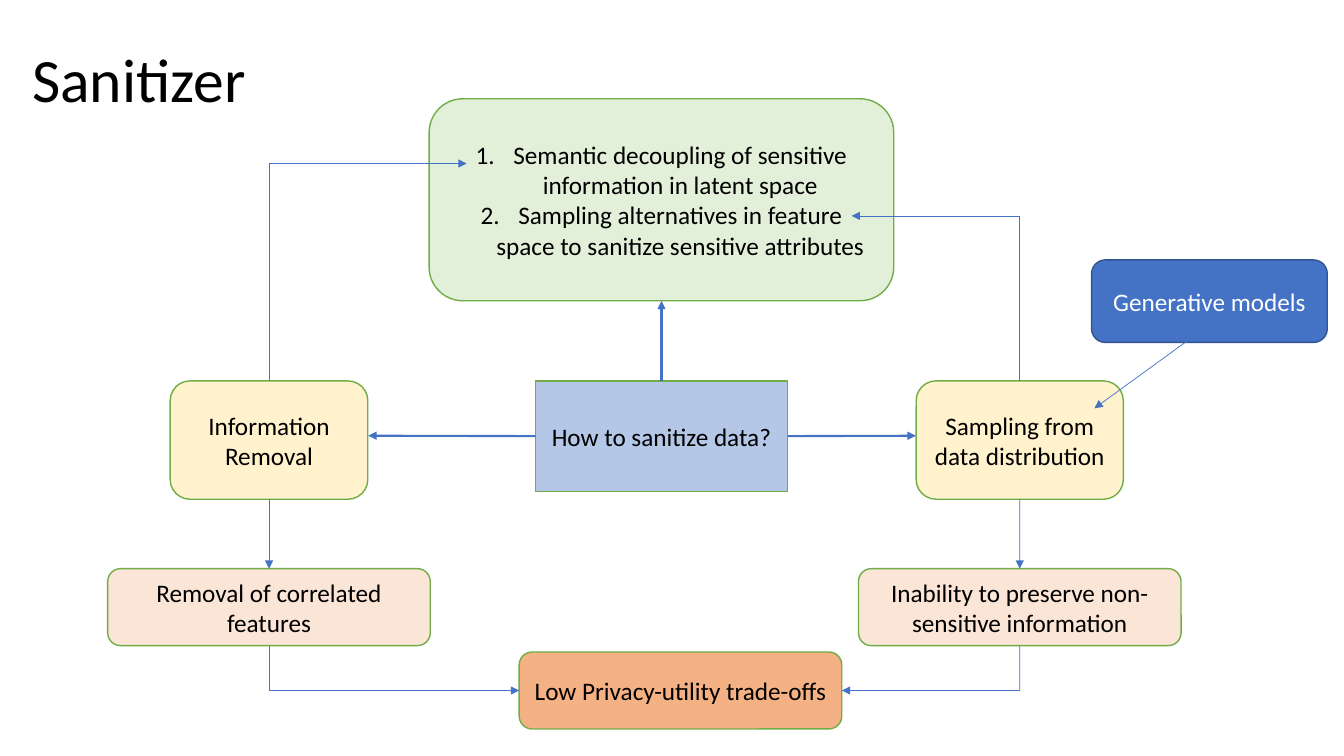
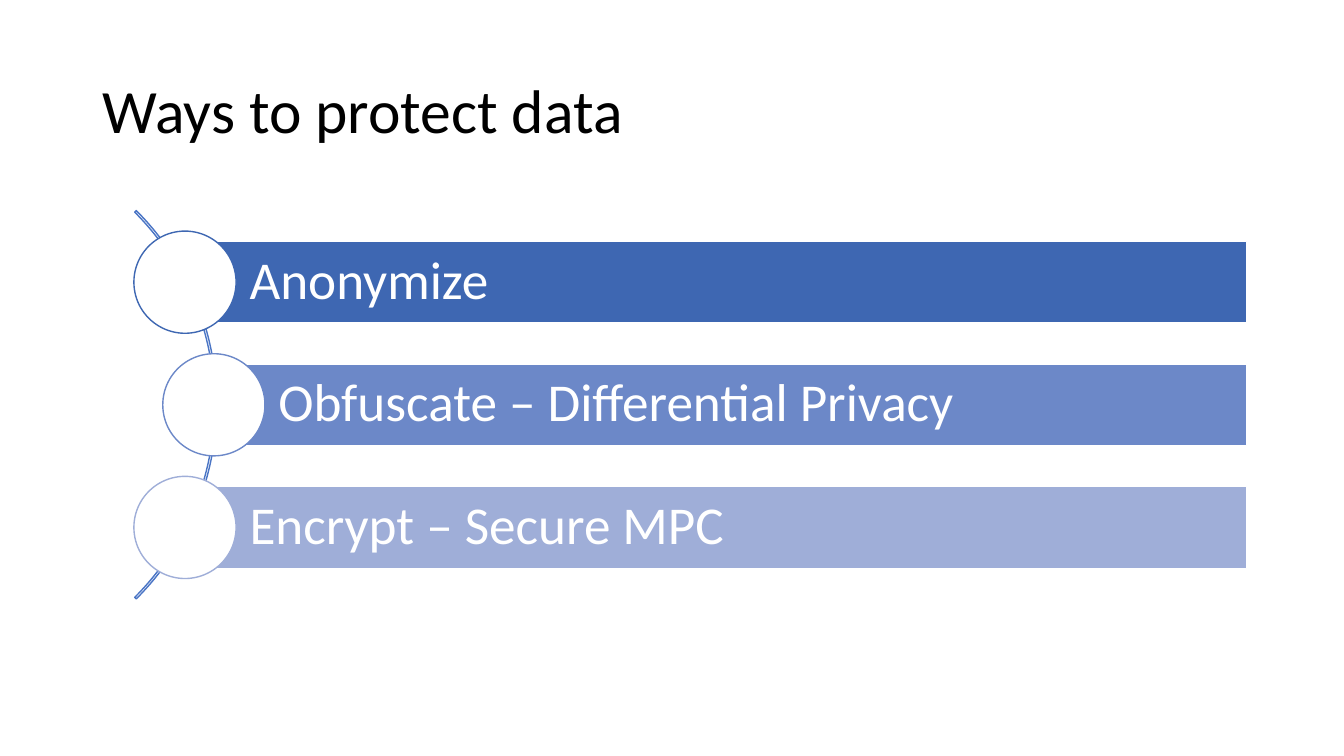
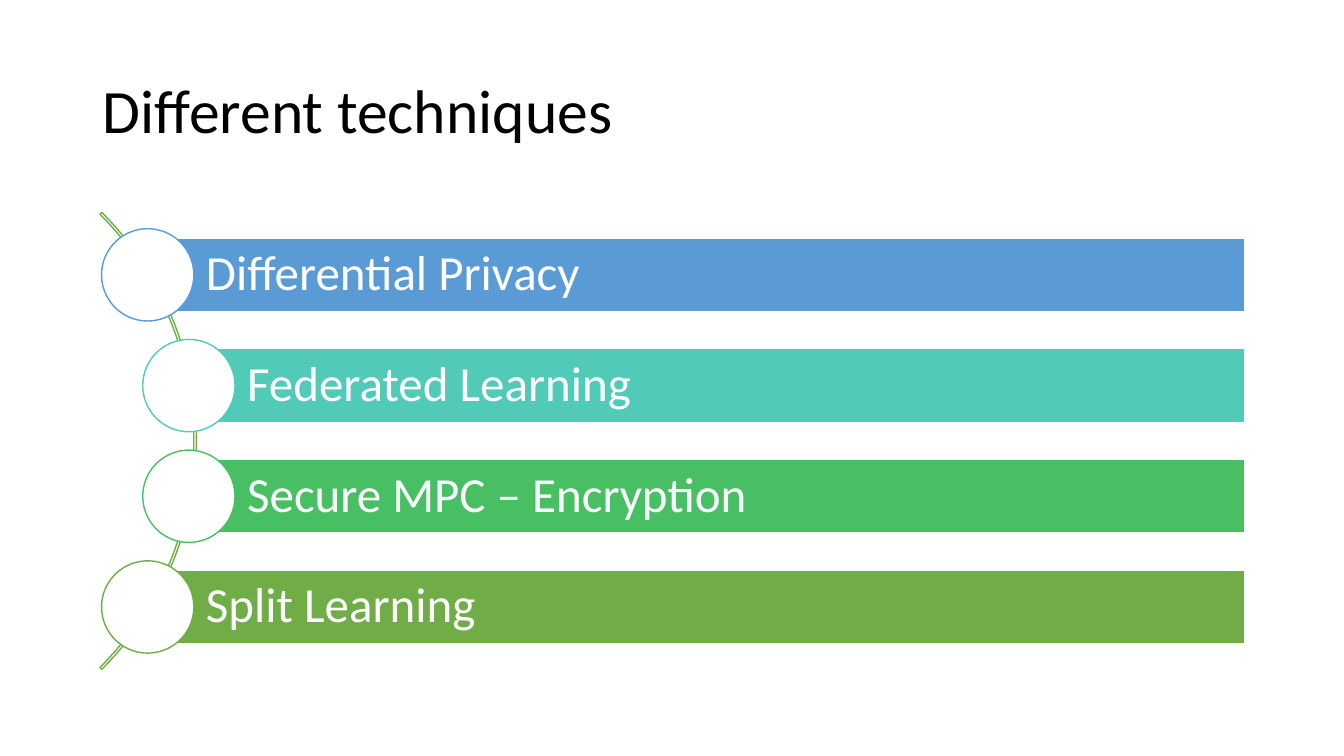
"""Build three slides on sanitizing and protecting data."""
from dataclasses import dataclass
from math import sqrt

from lxml import etree
from pptx import Presentation
from pptx.dml.color import RGBColor
from pptx.enum.shapes import MSO_CONNECTOR, MSO_SHAPE
from pptx.enum.text import MSO_ANCHOR, PP_ALIGN
from pptx.oxml.ns import qn
from pptx.util import Cm, Pt

RECTANGLE = MSO_SHAPE.RECTANGLE
ROUNDED = MSO_SHAPE.ROUNDED_RECTANGLE
OVAL = MSO_SHAPE.OVAL
BLOCK_ARC = MSO_SHAPE.BLOCK_ARC
STRAIGHT = MSO_CONNECTOR.STRAIGHT
MIDDLE = MSO_ANCHOR.MIDDLE
LEFT, CENTER = PP_ALIGN.LEFT, PP_ALIGN.CENTER
TOP_SIDE, LEFT_SIDE, BOTTOM_SIDE, RIGHT_SIDE = range(4)


@dataclass(frozen=True)
class Theme:
    """Colours, font and type sizes shared by the slides."""
    font: str = "Calibri"
    title_size: int = 44
    box_size: int = 18
    black: str = "000000"
    white: str = "FFFFFF"
    blue: str = "4472C4"
    dark_blue: str = "325491"
    pale_blue: str = "B4C7E7"
    green: str = "70AD47"
    pale_green: str = "E2F0D9"
    cream: str = "FFF2CC"
    peach: str = "FBE5D6"
    orange: str = "F4B183"
    outline: float = 1
    thick: float = 1.5
    thin: float = 0.5


THEME = Theme()

LEFT_AXIS, MIDDLE_AXIS, RIGHT_AXIS = 6.78, 16.67, 25.7
QUESTION_Y, TRADE_OFF_Y = 10.98, 17.4
REMOVAL_Y, SAMPLING_Y = 4.12, 5.44

FLOW_BOXES = {
    "question": dict(center=MIDDLE_AXIS, top=9.6, width=6.36, height=2.78,
                     fill=THEME.pale_blue, kind=RECTANGLE,
                     lines=["How to sanitize data?"]),
    "sampling": dict(center=RIGHT_AXIS, top=9.6, width=5.22, height=2.98,
                     fill=THEME.cream, lines=["Sampling from data distribution"]),
    "removal": dict(center=LEFT_AXIS, top=9.6, width=4.98, height=2.98,
                    fill=THEME.cream, lines=["Information", "Removal"]),
    "trade-offs": dict(center=17.15, top=16.43, width=8.13, height=1.94,
                       fill=THEME.orange, lines=["Low Privacy-utility trade-offs"]),
    "inability": dict(center=RIGHT_AXIS, top=14.33, width=8.13, height=1.94,
                      fill=THEME.peach,
                      lines=["Inability to preserve non-sensitive information"]),
    "correlated": dict(center=LEFT_AXIS, top=14.33, width=8.13, height=1.94,
                       fill=THEME.peach, lines=["Removal of correlated features"]),
    "approaches": dict(center=MIDDLE_AXIS, top=2.49, width=11.71, height=5.09,
                       fill=THEME.pale_green, numbered=True,
                       lines=["Semantic decoupling of sensitive information in latent space",
                              "Sampling alternatives in feature space to sanitize "
                              "sensitive attributes"]),
    "generative": dict(center=30.48, top=6.55, width=5.94, height=2.08,
                       fill=THEME.blue, outline=THEME.dark_blue, color=THEME.white,
                       lines=["Generative models"]),
}

FLOW_ROUTES = [
    (THEME.thick, [("question", RIGHT_SIDE), (23.08, QUESTION_Y)]),
    (THEME.thick, [("question", LEFT_SIDE), (9.28, QUESTION_Y)]),
    (THEME.thick, [("question", TOP_SIDE), ("approaches", BOTTOM_SIDE)]),
    (THEME.thin, [("removal", BOTTOM_SIDE), ("correlated", TOP_SIDE)]),
    (THEME.thin, [("sampling", BOTTOM_SIDE), ("inability", TOP_SIDE)]),
    (THEME.thin, [("correlated", BOTTOM_SIDE), (LEFT_AXIS, TRADE_OFF_Y),
                  ("trade-offs", LEFT_SIDE)]),
    (THEME.thin, [("inability", BOTTOM_SIDE), (RIGHT_AXIS, TRADE_OFF_Y),
                  ("trade-offs", RIGHT_SIDE)]),
    (THEME.thin, [("removal", TOP_SIDE), (LEFT_AXIS, REMOVAL_Y), (11.76, REMOVAL_Y)]),
    (THEME.thin, [("sampling", TOP_SIDE), (RIGHT_AXIS, SAMPLING_Y), (21.46, SAMPLING_Y)]),
    (THEME.thin, [(29.92, 8.59), (27.58, 10.29)]),
]

CURVED_LISTS = [
    dict(title="Ways to protect data", size=38, arc_color="4A75C5",
         arc_left=-8.38, arc_top=3.28, arc_size=13.84,
         pitch=3.09, bar_height=2.06, bar_right=31.41,
         items=[("Anonymize", "3E67B2"),
                ("Obfuscate – Differential Privacy", "6C88C8"),
                ("Encrypt – Secure MPC", "9FAED8")]),
    dict(title="Different techniques", size=35, arc_color=THEME.green,
         arc_left=-11.33, arc_top=2.97, arc_size=16.28,
         pitch=2.79, bar_height=1.86, bar_right=31.37,
         items=[("Differential Privacy", "5B9BD5"),
                ("Federated Learning", "52CAB8"),
                ("Secure MPC – Encryption", "49BF64"),
                ("Split Learning", THEME.green)]),
]


def rgb(color):
    """Turn a hex string into a colour."""
    return RGBColor.from_string(color)


def write(shape, lines, size, color, align, spacing=None, numbered=False):
    """Fill a shape with one paragraph per line."""
    frame = shape.text_frame
    frame.word_wrap = True
    frame.vertical_anchor = MIDDLE
    for index, line in enumerate(lines):
        paragraph = frame.add_paragraph() if index else frame.paragraphs[0]
        paragraph.alignment = align
        if spacing:
            paragraph.line_spacing = spacing
        if numbered:
            properties = paragraph._p.get_or_add_pPr()
            properties.set("marL", str(Cm(0.95)))
            properties.set("indent", str(-Cm(0.95)))
            etree.SubElement(properties, qn("a:buAutoNum"), type="arabicPeriod")
        run = paragraph.add_run()
        run.text = line
        run.font.name = THEME.font
        run.font.size = Pt(size)
        run.font.color.rgb = rgb(color)


def add_title(slide, text, left=2.34, top=1.02):
    """Add the slide title."""
    title = slide.shapes.add_textbox(Cm(left), Cm(top), Cm(29.21), Cm(3.68))
    write(title, [text], THEME.title_size, THEME.black, LEFT, spacing=0.9)


def add_figure(slide, kind, left, top, width, height, fill, outline):
    """Add a flat preset shape, unfilled when fill is None."""
    shape = slide.shapes.add_shape(kind, Cm(left), Cm(top), Cm(width), Cm(height))
    shape.shadow.inherit = False
    if fill:
        shape.fill.solid()
        shape.fill.fore_color.rgb = rgb(fill)
    else:
        shape.fill.background()
    shape.line.color.rgb = rgb(outline)
    shape.line.width = Pt(THEME.outline)
    return shape


def add_flow_box(slide, center, top, width, height, fill, lines, kind=ROUNDED,
                 outline=THEME.green, color=THEME.black, numbered=False):
    """Add a labelled box centred on a vertical axis."""
    box = add_figure(slide, kind, center - width / 2, top, width, height, fill, outline)
    write(box, lines, THEME.box_size, color, CENTER, numbered=numbered)
    return box


def locate(end, boxes):
    """Give the position of a free point or of the middle of a box side."""
    if end[0] not in boxes:
        return Cm(end[0]), Cm(end[1])
    box = boxes[end[0]]
    across, down = [(0.5, 0), (0, 0.5), (0.5, 1), (1, 0.5)][end[1]]
    return int(box.left + across * box.width), int(box.top + down * box.height)


def add_route(slide, boxes, width, stops):
    """Link the stops by straight lines, with an arrowhead on the last."""
    for start, end in zip(stops, stops[1:]):
        connector = slide.shapes.add_connector(
            STRAIGHT, *locate(start, boxes), *locate(end, boxes))
        if start[0] in boxes:
            connector.begin_connect(boxes[start[0]], start[1])
        if end[0] in boxes:
            connector.end_connect(boxes[end[0]], end[1])
        connector.line.color.rgb = rgb(THEME.blue)
        connector.line.width = Pt(width)
        properties = connector.element.spPr
        if end is stops[-1]:
            etree.SubElement(properties.find(qn("a:ln")), qn("a:tailEnd"), type="triangle")
        etree.SubElement(properties, qn("a:effectLst"))


def build_flow(slide):
    """Draw the sanitizer flow chart."""
    add_title(slide, "Sanitizer", left=0.56, top=0.23)
    boxes = {name: add_flow_box(slide, **box) for name, box in FLOW_BOXES.items()}
    for width, stops in FLOW_ROUTES:
        add_route(slide, boxes, width, stops)


def build_curved_list(slide, title, size, arc_color, arc_left, arc_top, arc_size,
                      pitch, bar_height, bar_right, items):
    """Draw bars whose circles follow an arc."""
    add_title(slide, title)
    arc = add_figure(slide, BLOCK_ARC, arc_left, arc_top, arc_size, arc_size, None, arc_color)
    for index, value in enumerate((189, 27, 0.004)):
        arc.adjustments[index] = value
    radius = arc_size / 2
    circle = 1.25 * bar_height
    for index, (text, color) in enumerate(items):
        offset = (index - (len(items) - 1) / 2) * pitch
        x = arc_left + radius + sqrt(radius ** 2 - offset ** 2) - 0.07
        y = arc_top + radius + offset
        bar = add_figure(slide, RECTANGLE, x, y - bar_height / 2,
                         bar_right - x, bar_height, color, THEME.white)
        bar.text_frame.margin_left = Cm(0.79 * bar_height)
        write(bar, [text], size, THEME.white, LEFT, spacing=0.9)
        add_figure(slide, OVAL, x - circle / 2, y - circle / 2,
                   circle, circle, THEME.white, color)


def main():
    """Build and save the presentation."""
    presentation = Presentation()
    presentation.slide_width, presentation.slide_height = Cm(33.87), Cm(19.05)
    blank = presentation.slide_layouts[6]
    build_flow(presentation.slides.add_slide(blank))
    for curved_list in CURVED_LISTS:
        build_curved_list(presentation.slides.add_slide(blank), **curved_list)
    presentation.save("out.pptx")


if __name__ == "__main__":
    main()
